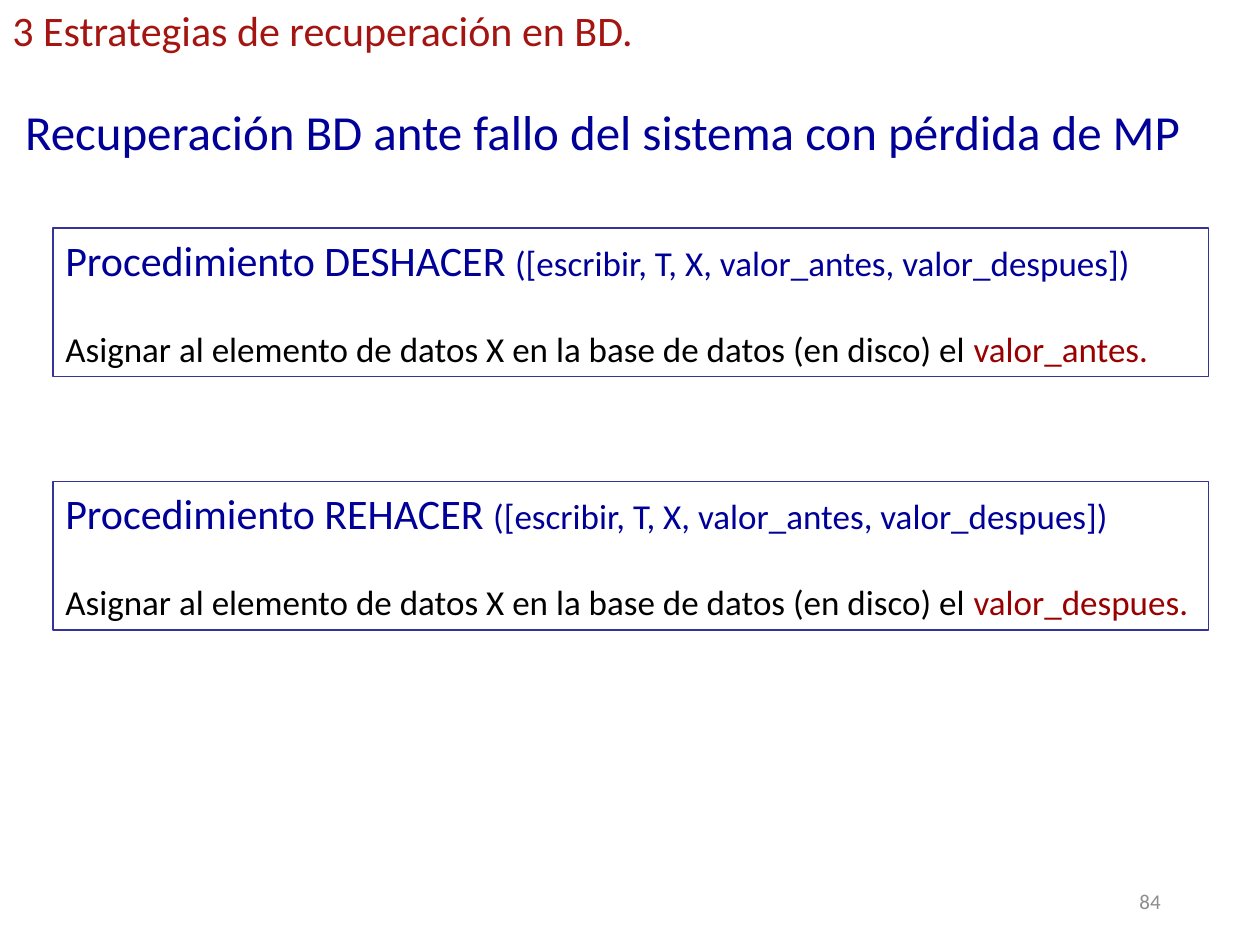
"""Build the slide on the undo and redo recovery procedures."""
from pptx import Presentation
from pptx.dml.color import RGBColor
from pptx.enum.shapes import MSO_SHAPE
from pptx.enum.text import MSO_ANCHOR, PP_ALIGN
from pptx.util import Inches, Pt

BLUE = RGBColor(0x00, 0x00, 0x99)
BORDER = RGBColor(0x33, 0x33, 0x99)
BLACK = RGBColor(0x00, 0x00, 0x00)
RED = RGBColor(0x99, 0x00, 0x00)
BRICK = RGBColor(0xA4, 0x15, 0x12)
GRAY = RGBColor(0x8C, 0x8C, 0x8C)

SECTION = "3 Estrategias de recuperación en BD."
TITLE = "Recuperación BD ante fallo del sistema con pérdida de MP"
PAGE_NUMBER = "84"
ARGUMENTS = "([escribir, T, X, valor_antes, valor_despues])"
ACTION = "Asignar al elemento de datos X en la base de datos (en disco) el "
PROCEDURES = [
    ("Procedimiento DESHACER ", "valor_antes."),
    ("Procedimiento REHACER ", "valor_despues."),
]
FIRST_TOP, STEP = 1.81, 2.01


def add_span(para, text, size, color):
    span = para.add_run()
    span.text = text
    span.font.name = "Calibri"
    span.font.size = Pt(size)
    span.font.color.rgb = color


def add_label(page, place, text, size, color, wrap=True):
    box = page.shapes.add_textbox(*map(Inches, place))
    box.text_frame.word_wrap = wrap
    add_span(box.text_frame.paragraphs[0], text, size, color)
    return box.text_frame


def add_procedure(page, top, name, value):
    box = page.shapes.add_shape(
        MSO_SHAPE.RECTANGLE, Inches(0.42), Inches(top), Inches(9.17), Inches(1.18))
    box.shadow.inherit = False
    box.fill.background()
    box.line.color.rgb = BORDER
    box.line.width = Pt(0.75)
    frame = box.text_frame
    frame.word_wrap = True
    frame.vertical_anchor = MSO_ANCHOR.TOP
    heading, action = frame.paragraphs[0], frame.add_paragraph()
    heading.alignment = action.alignment = PP_ALIGN.LEFT
    action.space_before = Pt(24.4)
    add_span(heading, name, 24, BLUE)
    add_span(heading, ARGUMENTS, 20, BLUE)
    add_span(action, ACTION, 20, BLACK)
    add_span(action, value, 20, RED)


def main():
    deck = Presentation()
    deck.slide_width, deck.slide_height = Inches(10), Inches(7.5)
    page = deck.slides.add_slide(deck.slide_layouts[6])

    number = add_label(page, (7.06, 6.95, 2.25, 0.4), PAGE_NUMBER, 12, GRAY)
    number.vertical_anchor = MSO_ANCHOR.MIDDLE
    number.paragraphs[0].alignment = PP_ALIGN.RIGHT

    for index, (name, value) in enumerate(PROCEDURES):
        add_procedure(page, FIRST_TOP + index * STEP, name, value)

    add_label(page, (0, -0.01, 5.17, 0.5), SECTION, 24, BRICK, wrap=False)
    title = add_label(page, (0, 0.76, 9.7, 0.57), TITLE, 28, BLUE)
    title.margin_left, title.margin_right = Inches(0.2), 0

    deck.save("out.pptx")


if __name__ == "__main__":
    main()
